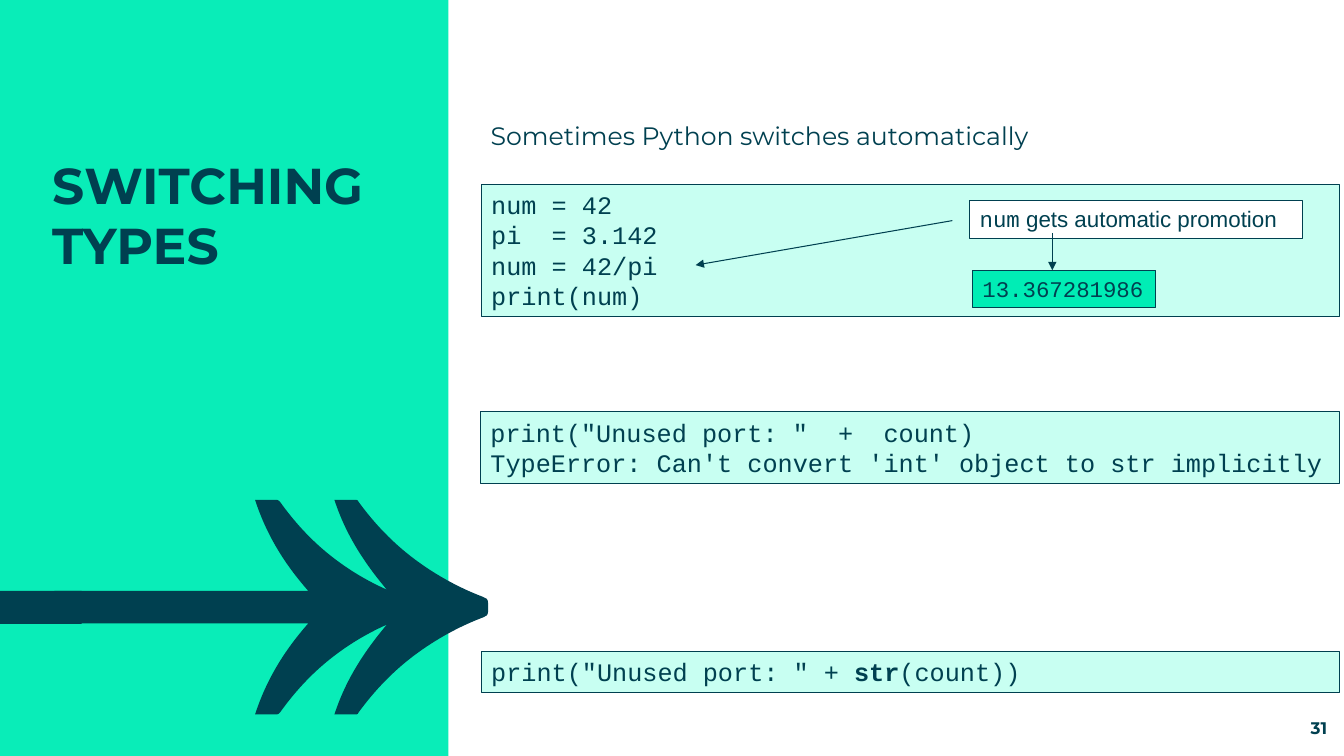
"""Build the slide about switching types in Python."""
from dataclasses import dataclass

from lxml.etree import SubElement
from pptx import Presentation
from pptx.dml.color import RGBColor
from pptx.enum.shapes import MSO_CONNECTOR, MSO_SHAPE
from pptx.enum.text import MSO_ANCHOR, MSO_AUTO_SIZE, PP_ALIGN
from pptx.oxml.ns import qn
from pptx.shapes.autoshape import Shape
from pptx.slide import Slide
from pptx.text.text import Font
from pptx.util import Cm, Pt

Point = tuple[float, float]


@dataclass(frozen=True)
class Theme:
    """Colours, fonts and type sizes of the slide."""

    ink: RGBColor = RGBColor(0x00, 0x40, 0x50)
    panel: RGBColor = RGBColor(0x09, 0xED, 0xB8)
    code_fill: RGBColor = RGBColor(0xC8, 0xFF, 0xF2)
    result_fill: RGBColor = RGBColor(0x00, 0xED, 0xB5)
    paper: RGBColor = RGBColor(0xFF, 0xFF, 0xFF)
    heading_font: str = "Montserrat"
    code_font: str = "Courier New"
    note_font: str = "Arial"
    title_size: int = 36
    text_size: int = 18
    note_size: int = 16
    number_size: int = 12
    line_width: float = 0.75


THEME = Theme()


@dataclass(frozen=True)
class Frame:
    """Position and size in centimetres."""

    left: float
    top: float
    width: float
    height: float

    def lengths(self) -> tuple[Cm, Cm, Cm, Cm]:
        """Return the four lengths for python-pptx."""
        return Cm(self.left), Cm(self.top), Cm(self.width), Cm(self.height)


@dataclass(frozen=True)
class Piece:
    """Stretch of text that may differ in font or weight."""

    text: str
    bold: bool = False
    font: str = THEME.code_font


@dataclass(frozen=True)
class Box:
    """Outlined box holding lines of text."""

    frame: Frame
    fill: RGBColor
    size: int
    lines: list[list[Piece]]


@dataclass(frozen=True)
class Arrow:
    """Straight arrow between two points in centimetres."""

    start: Point
    end: Point


def code_lines(text: str) -> list[list[Piece]]:
    """Turn plain code into single-piece lines."""
    return [[Piece(line)] for line in text.splitlines()]


BOXES = [
    Box(Frame(12.11, 10.38, 21.65, 1.8), THEME.code_fill, THEME.text_size, code_lines(
        "print(\"Unused port: \"  +  count)\n"
        "TypeError: Can't convert 'int' object to str implicitly")),
    Box(Frame(12.13, 16.42, 21.64, 1.04), THEME.code_fill, THEME.text_size,
        [[Piece('print("Unused port: " + '), Piece("str", bold=True), Piece("(count))")]]),
    Box(Frame(12.13, 4.65, 21.64, 3.33), THEME.code_fill, THEME.text_size,
        code_lines("num = 42\npi  = 3.142\nnum = 42/pi\nprint(num)")),
    Box(Frame(24.51, 6.81, 4.62, 0.94), THEME.result_fill, THEME.note_size,
        code_lines("13.367281986")),
    Box(Frame(24.44, 5.05, 8.38, 0.97), THEME.paper, THEME.note_size,
        [[Piece("num"), Piece(" gets automatic promotion", font=THEME.note_font)]]),
]
ARROWS = [Arrow((24, 5.56), (17.53, 6.68)), Arrow((26.52, 5.87), (26.52, 6.81))]

PANEL = Frame(0, 0, 11.3, 19.05)
SHAFT = Frame(0, 14.89, 2.06, 0.83)
FLETCHING_AXIS = 15.3
FLETCHING_START: Point = (1.37, 14.89)
FLETCHING_UPPER: list[list[Point]] = [
    [(7.77, 14.89)],
    [(7.16, 14.2), (6.71, 13.46), (6.43, 12.6)],
    [(6.62, 12.6), (6.8, 12.6), (6.99, 12.6)],
    [(7.01, 12.6), (7.03, 12.62), (7.06, 12.65)],
    [(7.39, 13.11), (7.77, 13.54), (8.23, 13.92)],
    [(8.69, 14.3), (9.19, 14.61), (9.75, 14.86)],
    [(9.17, 14.17), (8.71, 13.46), (8.43, 12.6)],
    [(8.61, 12.6), (8.81, 12.6), (8.99, 12.6)],
    [(9.01, 12.6), (9.03, 12.62), (9.04, 12.65)],
    [(9.45, 13.21), (9.91, 13.69), (10.46, 14.1)],
    [(10.97, 14.48), (11.56, 14.81), (12.17, 15.04)],
    [(12.25, 15.06), (12.3, 15.1), (12.3, 15.19)],
]


def paint(shape: Shape, fill: RGBColor, outlined: bool = False) -> None:
    """Give a shape a flat fill and an optional thin outline."""
    shape.shadow.inherit = False
    shape.fill.solid()
    shape.fill.fore_color.rgb = fill
    if outlined:
        shape.line.color.rgb = THEME.ink
        shape.line.width = Pt(THEME.line_width)
    else:
        shape.line.fill.background()


def style(font: Font, name: str, size: int, bold: bool = False) -> None:
    """Set the font in the ink colour."""
    font.name, font.size, font.bold = name, Pt(size), bold
    font.color.rgb = THEME.ink


def draw_block(slide: Slide, frame: Frame, fill: RGBColor) -> None:
    """Draw one plain rectangle."""
    paint(slide.shapes.add_shape(MSO_SHAPE.RECTANGLE, *frame.lengths()), fill)


def draw_fletching(slide: Slide) -> None:
    """Draw the curved arrow, mirrored about its axis."""
    upper = [FLETCHING_START, *(point for segment in FLETCHING_UPPER for point in segment)]
    lower = [(x, 2 * FLETCHING_AXIS - y) for x, y in reversed(upper)]
    outline = [(Cm(x), Cm(y)) for x, y in upper + lower]
    builder = slide.shapes.build_freeform(*outline[0])
    builder.add_line_segments(outline[1:], close=True)
    shape = builder.convert_to_shape()
    paint(shape, THEME.ink)

    counts = [len(segment) for segment in FLETCHING_UPPER]
    steps = iter(list(shape.element.iter(qn("a:lnTo"))))
    for count in [*counts, 1, *reversed(counts)]:
        first, *others = [next(steps) for _ in range(count)]
        if others:
            first.tag = qn("a:cubicBezTo")
        for step in others:
            first.append(step[0])
            step.getparent().remove(step)


def draw_box(slide: Slide, box: Box) -> None:
    """Draw one outlined text box."""
    shape = slide.shapes.add_shape(MSO_SHAPE.RECTANGLE, *box.frame.lengths())
    paint(shape, box.fill, outlined=True)
    text_frame = shape.text_frame
    text_frame.word_wrap = True
    text_frame.vertical_anchor = MSO_ANCHOR.TOP
    for index, line in enumerate(box.lines):
        paragraph = text_frame.add_paragraph() if index else text_frame.paragraphs[0]
        paragraph.alignment = PP_ALIGN.LEFT
        style(paragraph.font, line[0].font, box.size)
        for piece in line:
            run = paragraph.add_run()
            run.text = piece.text
            style(run.font, piece.font, box.size, piece.bold)


def draw_arrow(slide: Slide, arrow: Arrow) -> None:
    """Draw one thin line with a triangular head."""
    ends = [Cm(value) for value in (*arrow.start, *arrow.end)]
    connector = slide.shapes.add_connector(MSO_CONNECTOR.STRAIGHT, *ends)
    connector.line.color.rgb = THEME.ink
    connector.line.width = Pt(THEME.line_width)
    SubElement(connector.line._get_or_add_ln(), qn("a:tailEnd"), type="triangle")
    SubElement(connector.element.spPr, qn("a:effectLst"))


def fill_text(shape: Shape, frame: Frame, text: str, size: int, bold: bool,
              alignment: PP_ALIGN = PP_ALIGN.LEFT) -> None:
    """Place a heading-font text in a placeholder or text box."""
    shape.left, shape.top, shape.width, shape.height = frame.lengths()
    text_frame = shape.text_frame
    text_frame.text = text
    text_frame.word_wrap = True
    text_frame.auto_size = MSO_AUTO_SIZE.NONE
    text_frame.vertical_anchor = MSO_ANCHOR.TOP
    paragraph = text_frame.paragraphs[0]
    paragraph.alignment = alignment
    paragraph.space_before = Pt(0)
    style(paragraph.font, THEME.heading_font, size, bold)


def main() -> None:
    """Build and save the slide."""
    presentation = Presentation()
    presentation.slide_width, presentation.slide_height = Cm(33.87), Cm(19.05)
    slide = presentation.slides.add_slide(presentation.slide_layouts[1])
    title, body = slide.shapes.title, slide.placeholders[1]

    draw_block(slide, PANEL, THEME.panel)
    draw_fletching(slide)
    draw_block(slide, SHAFT, THEME.ink)
    for placeholder in (title, body):
        placeholder.element.getparent().append(placeholder.element)

    fill_text(title, Frame(1.06, 3.75, 9.58, 7.65), "SWITCHING TYPES", THEME.title_size, True)
    fill_text(body, Frame(12.11, 2.9, 18.8, 0.89), "Sometimes Python switches automatically",
              THEME.text_size, False)
    paragraph = body.text_frame.paragraphs[0]
    paragraph.line_spacing, paragraph.space_after = Pt(22), Pt(6.5)
    properties = paragraph._p.get_or_add_pPr()
    properties.set("marL", "0")
    properties.set("indent", "0")
    SubElement(properties, qn("a:buNone"))
    properties.append(properties.find(qn("a:defRPr")))

    number_frame = Frame(31.27, 18.08, 2.18, 0.51)
    number = slide.shapes.add_textbox(*number_frame.lengths())
    fill_text(number, number_frame, "31", THEME.number_size, True, PP_ALIGN.RIGHT)
    number_text = number.text_frame
    number_text.vertical_anchor = MSO_ANCHOR.BOTTOM
    number_text.margin_left = number_text.margin_right = Cm(0)
    number_text.margin_top = number_text.margin_bottom = Cm(0)

    for box in BOXES:
        draw_box(slide, box)
    for arrow in ARROWS:
        draw_arrow(slide, arrow)
    presentation.save("out.pptx")


if __name__ == "__main__":
    main()
